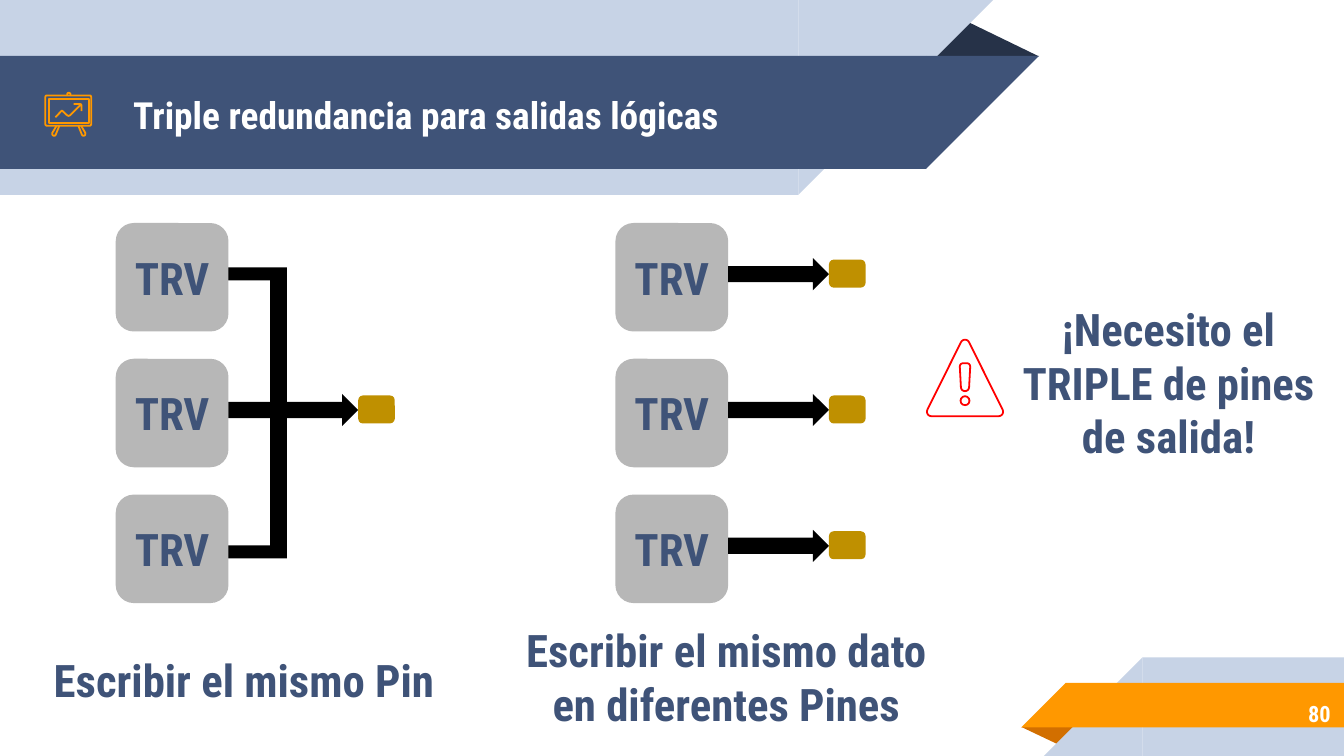
from math import cos, pi, sin

from pptx import Presentation
from pptx.dml.color import RGBColor
from pptx.enum.shapes import MSO_SHAPE as Shape
from pptx.enum.text import MSO_ANCHOR as Anchor, PP_ALIGN as Align
from pptx.oxml.ns import qn
from pptx.util import Pt

FONT = "Roboto Condensed"
NAVY = RGBColor(0x3F, 0x53, 0x78)
DARK_NAVY = RGBColor(0x26, 0x32, 0x48)
PALE_BLUE = RGBColor(0xC7, 0xD3, 0xE6)
ORANGE = RGBColor(0xFF, 0x98, 0x00)
DARK_ORANGE = RGBColor(0xD2, 0x6F, 0x00)
GRAY = RGBColor(0xB7, 0xB7, 0xB7)
GOLD = RGBColor(0xBF, 0x90, 0x00)
BLACK = RGBColor(0x00, 0x00, 0x00)
WHITE = RGBColor(0xFF, 0xFF, 0xFF)
RED = RGBColor(0xFF, 0x00, 0x00)

ROW_TOP, ROW_PITCH, ROWS = 119.5, 72.75, 3
BLOCK_WIDTH, BLOCK_HEIGHT = 60.4, 58.1
ARROW_OFFSET, ARROW_HEIGHT = 18.8, 17.2
PIN_OFFSET = 19.6


def add_filled(page, kind, left, top, width, height, color, flip=None):
    shape = page.shapes.add_shape(kind, Pt(left), Pt(top), Pt(width), Pt(height))
    shape.shadow.inherit = False
    shape.fill.solid()
    shape.fill.fore_color.rgb = color
    shape.line.fill.background()
    if flip:
        shape.element.spPr.find(qn("a:xfrm")).set(flip, "1")
    return shape


def write(shape, text, size, color, align):
    frame = shape.text_frame
    frame.word_wrap = True
    frame.vertical_anchor = Anchor.MIDDLE
    frame.margin_left = frame.margin_right = Pt(7.2)
    frame.margin_top = frame.margin_bottom = Pt(7.2)
    frame.text = text
    para = frame.paragraphs[0]
    para.alignment = align
    font = para.runs[0].font
    font.name, font.size, font.bold = FONT, Pt(size), True
    font.color.rgb = color


def add_text(page, text, left, top, width, height, size=24, color=NAVY,
             align=Align.CENTER):
    box = page.shapes.add_textbox(Pt(left), Pt(top), Pt(width), Pt(height))
    write(box, text, size, color, align)


def add_outline(page, contours, color, closed=True):
    """Draw one unfilled outline made of one or more contours."""
    builder = None
    for contour in contours:
        start, *rest = [(Pt(x), Pt(y)) for x, y in contour]
        if builder is None:
            builder = page.shapes.build_freeform(*start)
        else:
            builder.move_to(*start)
        builder.add_line_segments(rest, close=closed)
    shape = builder.convert_to_shape()
    shape.shadow.inherit = False
    shape.fill.background()
    shape.line.color.rgb = color
    shape.line.width = Pt(0.96)


def arc(x, y, radius, start=0, end=360, steps=12):
    """Points along an arc, in degrees clockwise from the right."""
    angles = [(start + (end - start) * i / steps) * pi / 180
              for i in range(steps + 1)]
    return [(x + radius * cos(a), y + radius * sin(a)) for a in angles]


def add_header(page):
    add_filled(page, Shape.ISOSCELES_TRIANGLE, 495.4, 10, 61.2, 20.2,
               DARK_NAVY).adjustments[0] = 0.32
    for top, length, height, color in ((0, 427.7, 104.4, PALE_BLUE),
                                       (30, 496.2, 60.5, NAVY)):
        add_filled(page, Shape.RECTANGLE, 0, top, length, height, color)
        add_filled(page, Shape.RIGHT_TRIANGLE, length, top, height, height,
                   color, "flipV")
    add_text(page, "Triple redundancia para salidas lógicas",
             64.3, 31, 430.6, 60.5, 20, WHITE, Align.LEFT)


def add_footer(page):
    fold = add_filled(page, Shape.ISOSCELES_TRIANGLE, 547.2, 389.5, 31, 10,
                      DARK_ORANGE)
    fold.adjustments[0] = 0.32
    fold.rotation = 180
    for left, top, height, color in ((612, 352.2, 52.8, PALE_BLUE),
                                     (571, 365.8, 23.9, ORANGE)):
        add_filled(page, Shape.RECTANGLE, left, top, 720 - left, height, color)
        add_filled(page, Shape.RIGHT_TRIANGLE, left - height, top, height,
                   height, color, "flipH")
    add_text(page, "80", 602.6, 369.4, 117.4, 25.2, 12, WHITE, Align.RIGHT)


def add_board_icon(page):
    # Frame and screen
    add_outline(page, [arc(25.2, 52, 0.9, 180, 270, 3) + arc(48, 52, 0.9, 270, 360, 3)
                       + arc(48, 66.5, 0.9, 0, 90, 3)
                       + arc(25.2, 66.5, 0.9, 90, 180, 3)], ORANGE)
    add_outline(page, [[(26.1, 52.9), (26.1, 65.9), (47.8, 65.9), (47.8, 52.9)]],
                ORANGE)
    # Hook, legs, chart line and arrow tip
    middle = 36.9
    left_leg = [(30.3, 67.4), (28, 71.3)] + arc(29, 71.8, 1, 200, 30, 5) + [(31.8, 67.4)]
    right_leg = [(2 * middle - x, y) for x, y in left_leg]
    hook = [(36, 51.1)] + arc(middle, 50.6, 0.9, 180, 360, 6) + [(37.8, 51.1)]
    trend = [(29.7, 62.8), (33.2, 59.2), (36, 61.8), (36.8, 62.1),
             (37.5, 61.8), (43.2, 56.2)]
    tip = [(39.5, 55.7), (42.8, 55.7), (43.4, 55.9), (43.7, 56.4), (43.7, 59.6)]
    for strokes in (hook, left_leg, right_leg, trend, tip):
        add_outline(page, [strokes], ORANGE, closed=False)


def add_warning_icon(page):
    x = 517
    border = (arc(x, 184.4, 2.4, 207, 333, 6) + arc(535, 220.6, 2.4, -27, 90, 6)
              + arc(499, 220.6, 2.4, 90, 207, 6))
    mark = (arc(x, 207.4, 2.2, 0, 180, 8) + arc(x - 1, 196.4, 1.8, 180, 270, 4)
            + arc(x + 1, 196.4, 1.8, 270, 360, 4))
    add_outline(page, [border, arc(x, 214.7, 2.4), mark], RED)


def add_block(page, left, row):
    block = add_filled(page, Shape.ROUNDED_RECTANGLE, left,
                       ROW_TOP + row * ROW_PITCH, BLOCK_WIDTH, BLOCK_HEIGHT, GRAY)
    write(block, "TRV", 24, NAVY, Align.CENTER)


def add_output(page, left, row, length):
    """Arrow leading from a block to its output pin."""
    top = ROW_TOP + row * ROW_PITCH
    add_filled(page, Shape.RIGHT_ARROW, left, top + ARROW_OFFSET, length,
               ARROW_HEIGHT, BLACK)
    add_filled(page, Shape.ROUNDED_RECTANGLE, left + length, top + PIN_OFFSET,
               19.6, 15, GOLD)


def main():
    deck = Presentation()
    deck.slide_width, deck.slide_height = Pt(720), Pt(405)
    page = deck.slides.add_slide(deck.slide_layouts[6])

    add_header(page)
    add_board_icon(page)
    add_footer(page)

    # Three blocks joined on a single pin
    for top in (143.2, 292.2):
        add_filled(page, Shape.RECTANGLE, 121.7, top, 32, 7, BLACK)
    add_filled(page, Shape.RECTANGLE, 144.8, 146.2, 8.9, 150.4, BLACK)
    for row in range(ROWS):
        add_block(page, 62, row)
    add_output(page, 122.4, 1, 69.5)
    add_text(page, "Escribir el mismo Pin", 16.6, 351.4, 228.2, 25.2)

    # Three blocks with one pin each
    for row in range(ROWS):
        add_block(page, 329.7, row)
        add_output(page, 390.1, row, 54)
    add_text(page, "Escribir el mismo dato en diferentes Pines",
             267.8, 339.8, 242.6, 45.4)

    # Warning
    add_text(page, "¡Necesito el TRIPLE de pines de salida!",
             537.1, 159.1, 177.8, 91.4)
    add_warning_icon(page)

    deck.save("out.pptx")


if __name__ == "__main__":
    main()
